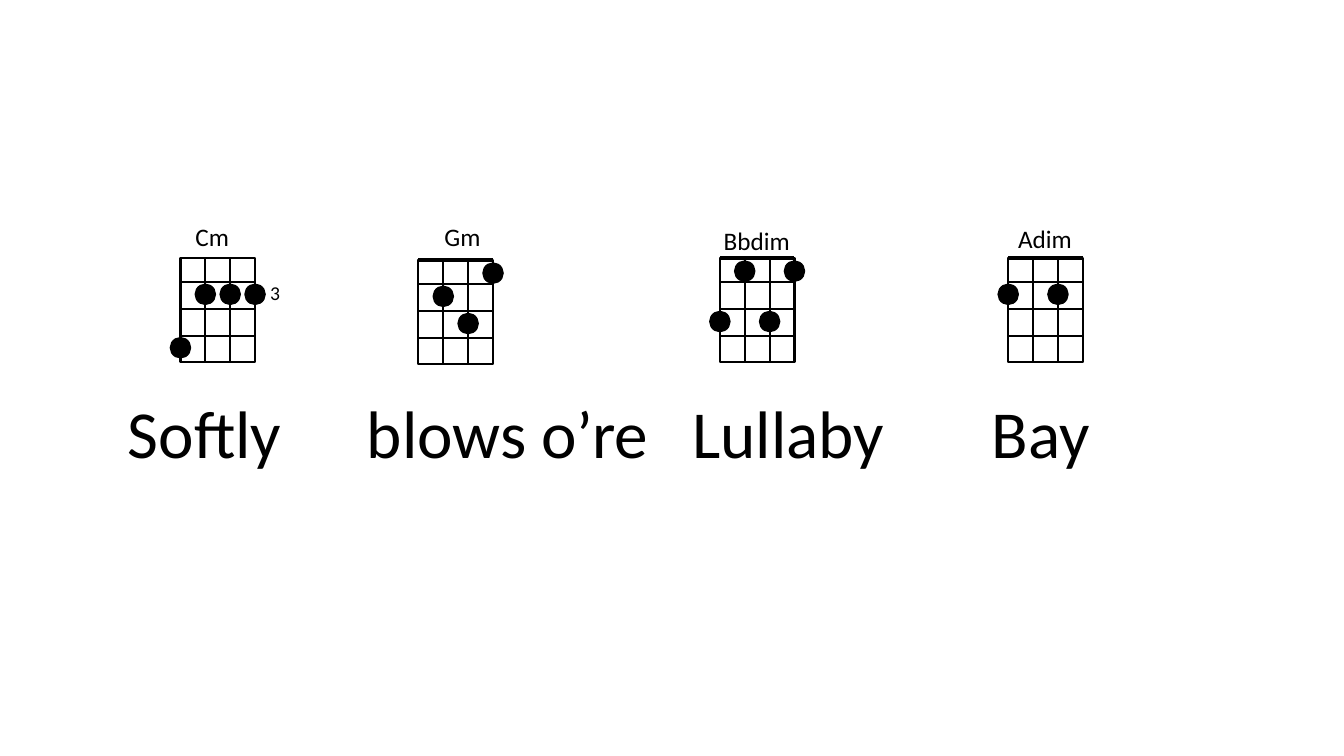
from lxml.etree import SubElement
from pptx import Presentation
from pptx.dml.color import RGBColor
from pptx.enum.shapes import MSO_CONNECTOR as LINE, MSO_SHAPE as SHAPE
from pptx.enum.text import MSO_AUTO_SIZE as FIT
from pptx.oxml.ns import qn
from pptx.util import Inches, Pt

COLORS = {"ink": "000000"}
FONT = "Calibri"

WORDS = ["Softly", "blows o’re", "Lullaby", "Bay"]
TABS = [2.37, 5.6, 8.57]

# Dots are (string, fret), both counted from 0 at the top left.
CHORDS = [
    {"name": "Cm", "label": (1.84, 2.15, 0.54), "grid": (1.79, 2.56),
     "nut": False, "dots": [(0, 3), (1, 1), (2, 1), (3, 1)]},
    {"name": "Gm", "label": (4.31, 2.15, 0.56), "grid": (4.15, 2.58),
     "nut": True, "dots": [(1, 1), (2, 2), (3, 0)]},
    {"name": "Bbdim", "label": (7.08, 2.19, 0.86), "grid": (7.14, 2.56),
     "nut": True, "dots": [(2, 2), (1, 0), (3, 0), (0, 2)]},
    {"name": "Adim", "label": (10, 2.17, 0.74), "grid": (10, 2.56),
     "nut": True, "dots": [(2, 1), (0, 1)]},
]

WIDE, HIGH, DOT = 0.74, 1.03, 0.2
STRINGS = [WIDE * i / 3 for i in range(4)]
FRETS = [0.24, 0.51, 0.77]
MIDS = [0.13, 0.36, 0.63, 0.89]


def ink():
    return RGBColor.from_string(COLORS["ink"])


def add_text(slide, text, box, size=18, wrap=False, tabs=()):
    shape = slide.shapes.add_textbox(*map(Inches, box))
    frame = shape.text_frame
    frame.word_wrap = wrap
    frame.auto_size = FIT.SHAPE_TO_FIT_TEXT
    para = frame.paragraphs[0]
    if tabs:
        stops = SubElement(para._p.get_or_add_pPr(), qn("a:tabLst"))
        for pos in tabs:
            SubElement(stops, qn("a:tab"), pos=str(Inches(pos)), algn="l")
    run = para.add_run()
    run.text = text
    run.font.name, run.font.size = FONT, Pt(size)
    run.font.color.rgb = ink()


def add_form(group, kind, box, width, solid=False):
    shape = group.shapes.add_shape(kind, *map(Inches, box))
    shape.shadow.inherit = False
    if solid:
        shape.fill.solid()
        shape.fill.fore_color.rgb = ink()
    else:
        shape.fill.background()
    shape.line.color.rgb = ink()
    shape.line.width = Pt(width)


def add_line(group, x1, y1, x2, y2, width=1.5):
    line = group.shapes.add_connector(
        LINE.STRAIGHT, *map(Inches, (x1, y1, x2, y2)))
    line.line.color.rgb = ink()
    line.line.width = Pt(width)
    SubElement(line._element.spPr, qn("a:effectLst"))


def add_chord(slide, chord):
    x, y = chord["grid"]
    group = slide.shapes.add_group_shape()
    add_form(group, SHAPE.RECTANGLE, (x, y, WIDE, HIGH), 1.5)
    for dx in STRINGS[1:-1]:
        add_line(group, x + dx, y, x + dx, y + HIGH)
    for dy in FRETS:
        add_line(group, x, y + dy, x + WIDE, y + dy)
    if chord["nut"]:
        add_line(group, x, y, x + WIDE, y, width=3)
    for string, fret in chord["dots"]:
        left = x + STRINGS[string] - DOT / 2
        top = y + MIDS[fret] - DOT / 2
        add_form(group, SHAPE.OVAL, (left, top, DOT, DOT), 1, solid=True)


def main():
    deck = Presentation()
    deck.slide_width, deck.slide_height = Inches(13.33), Inches(7.5)
    slide = deck.slides.add_slide(deck.slide_layouts[6])
    add_text(slide, "\t".join(WORDS), (1.17, 3.83, 11.56, 0.91),
             size=48, wrap=True, tabs=TABS)
    add_text(slide, "3", (2.58, 2.74, 0.3, 0.34), size=14)
    for chord in CHORDS:
        add_text(slide, chord["name"], (*chord["label"], 0.4))
    for chord in CHORDS:
        add_chord(slide, chord)
    deck.save("out.pptx")


if __name__ == "__main__":
    main()
